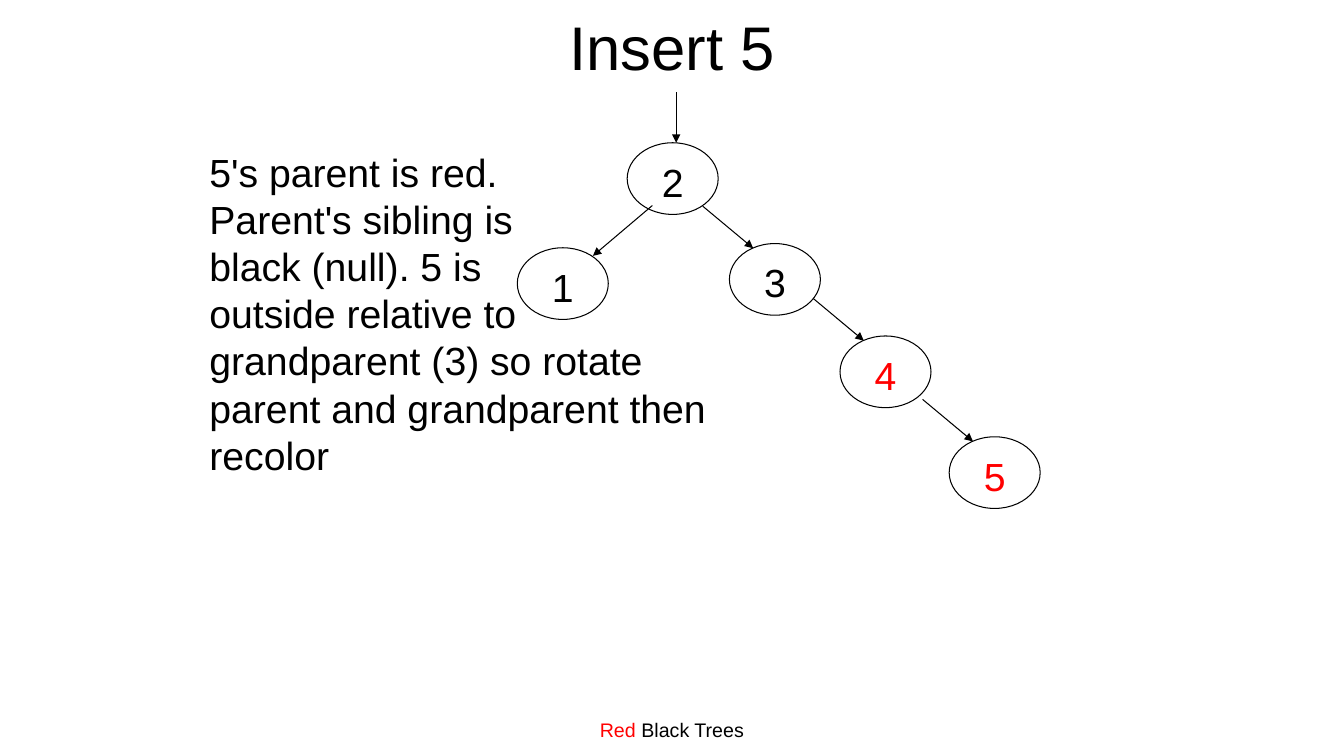
from pptx import Presentation
from pptx.dml.color import RGBColor
from pptx.enum.shapes import MSO_CONNECTOR, MSO_SHAPE
from pptx.enum.text import MSO_ANCHOR, PP_ALIGN
from pptx.oxml.ns import qn
from pptx.util import Pt
from lxml.etree import SubElement

BLACK = RGBColor(0x00, 0x00, 0x00)
RED = RGBColor(0xFF, 0x00, 0x00)
FONT = "Arial"

NODE_W, NODE_H = 65, 51.2
# Value: left and top within the tree, colour
NODES = {
    2: (78.5, 36, BLACK),
    1: (0, 111, BLACK),
    3: (151.5, 108, BLACK),
    4: (230.5, 174, RED),
    5: (308.5, 246, RED),
}
# Child: arrow tip within the child, then the arrow's run and drop
LEFT_EDGE = (54, 5.8, -42.5, 36)
RIGHT_EDGE = (17, 3.3, 36, 30)
EDGES = {1: LEFT_EDGE, 3: RIGHT_EDGE, 4: RIGHT_EDGE, 5: RIGHT_EDGE}

EXPLANATION = [
    "5's parent is red.",
    "Parent's sibling is",
    "black (null). 5 is",
    "outside relative to",
    "grandparent (3) so rotate",
    "parent and grandparent then",
    "recolor",
]


def write(p, text, size=28, color=BLACK, align=None):
    if align is not None:
        p.alignment = align
    r = p.add_run()
    r.text = text
    r.font.name = FONT
    r.font.size = Pt(size)
    r.font.color.rgb = color


def add_box(slide, left, top, width, height):
    sp = slide.shapes.add_textbox(Pt(left), Pt(top), Pt(width), Pt(height))
    return sp.text_frame


def add_arrow(slide, x1, y1, x2, y2):
    line = slide.shapes.add_connector(
        MSO_CONNECTOR.STRAIGHT, Pt(x1), Pt(y1), Pt(x2), Pt(y2))
    line.line.color.rgb = BLACK
    line.line.width = Pt(0.75)
    SubElement(line.line._get_or_add_ln(), qn("a:tailEnd"), type="triangle")
    SubElement(line._element.spPr, qn("a:effectLst"))


def add_node(slide, left, top, value, color):
    sp = slide.shapes.add_shape(
        MSO_SHAPE.OVAL, Pt(left), Pt(top), Pt(NODE_W), Pt(NODE_H))
    sp.shadow.inherit = False
    sp.fill.background()
    sp.line.color.rgb = BLACK
    sp.line.width = Pt(0.75)
    tf = sp.text_frame
    tf.word_wrap = False
    tf.vertical_anchor = MSO_ANCHOR.MIDDLE
    tf.margin_left = tf.margin_right = tf.margin_bottom = 0
    tf.margin_top = Pt(4)
    write(tf.paragraphs[0], str(value), color=color, align=PP_ALIGN.CENTER)


def add_title(slide, left, top, width, height):
    sp = slide.shapes.title
    sp.left, sp.top, sp.width, sp.height = map(Pt, (left, top, width, height))
    sp.text_frame.vertical_anchor = MSO_ANCHOR.MIDDLE
    write(sp.text_frame.paragraphs[0], "Insert 5", size=44,
          align=PP_ALIGN.CENTER)


def add_tree(slide, left, top):
    root_x = left + 113.5
    add_arrow(slide, root_x, top, root_x, top + 36)
    for value, (x, y, color) in NODES.items():
        add_node(slide, left + x, top + y, value, color)
    for child, (dx, dy, run, drop) in EDGES.items():
        x, y, _ = NODES[child]
        tip_x, tip_y = left + x + dx, top + y + dy
        add_arrow(slide, tip_x - run, tip_y - drop, tip_x, tip_y)


def add_explanation(slide, left, top, width, height):
    tf = add_box(slide, left, top, width, height)
    tf.word_wrap = False
    p = tf.paragraphs[0]
    p.line_spacing = Pt(33.7)
    for i, text in enumerate(EXPLANATION):
        if i:
            p.add_line_break()
        write(p, text)


def add_footer(slide, left, top, width, height):
    tf = add_box(slide, left, top, width, height)
    tf.word_wrap = True
    p = tf.paragraphs[0]
    write(p, "Red", size=14, color=RED, align=PP_ALIGN.CENTER)
    write(p, " Black Trees", size=14)


def main():
    prs = Presentation()
    prs.slide_width, prs.slide_height = Pt(960), Pt(540)
    slide = prs.slides.add_slide(prs.slide_layouts[5])
    add_title(slide, 72, -12, 816, 90)
    add_tree(slide, 369.5, 66)
    add_explanation(slide, 142.5, 102, 370, 243)
    add_footer(slide, 296, 509, 368, 24)
    prs.save("out.pptx")


if __name__ == "__main__":
    main()
